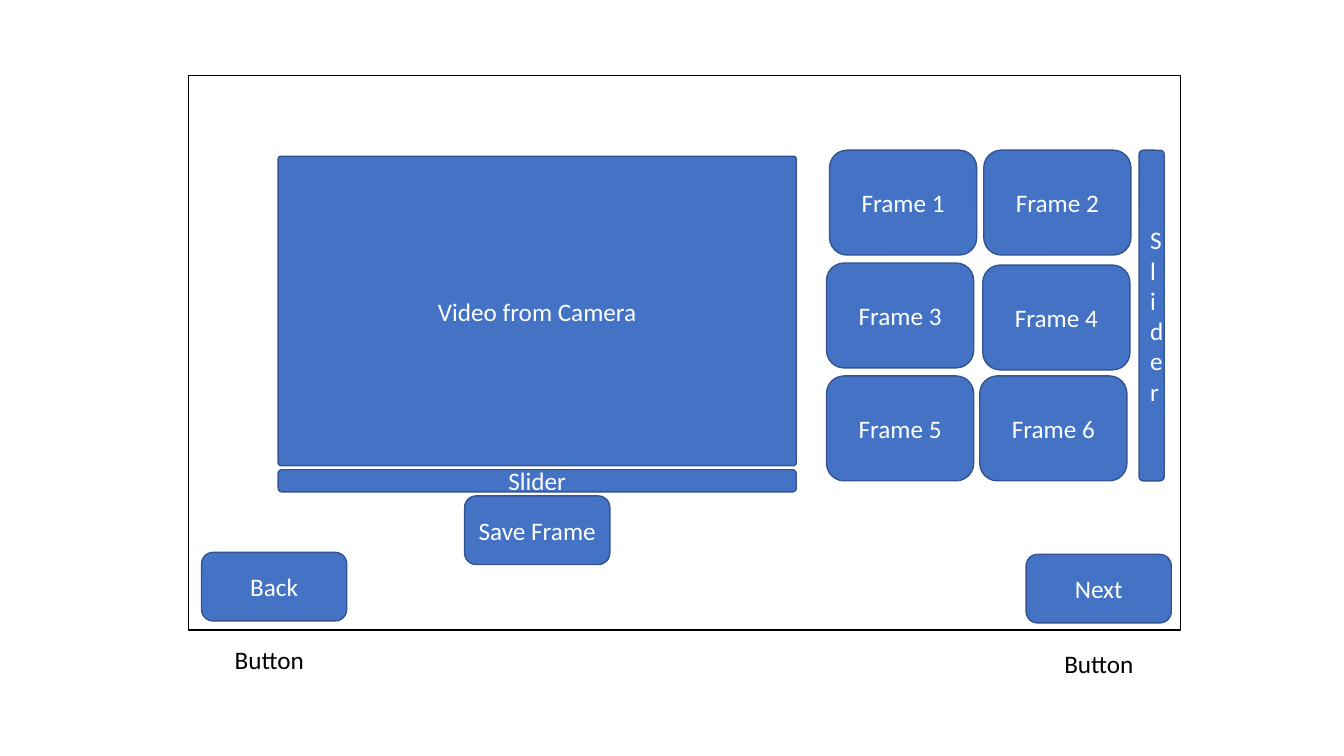
from dataclasses import dataclass

from pptx import Presentation
from pptx.dml.color import RGBColor
from pptx.enum.shapes import MSO_SHAPE
from pptx.enum.text import MSO_ANCHOR, MSO_AUTO_SIZE, PP_ALIGN
from pptx.shapes.autoshape import Shape
from pptx.slide import Slide
from pptx.text.text import TextFrame
from pptx.util import Inches, Pt

WHITE = RGBColor(0xFF, 0xFF, 0xFF)
BLACK = RGBColor(0x00, 0x00, 0x00)
BLUE = RGBColor(0x44, 0x72, 0xC4)
DARK_BLUE = RGBColor(0x32, 0x54, 0x91)

# The layout grid: square cells, a tenth of an inch a side
CELL = Inches(0.1)
GRID_COLUMNS, GRID_ROWS = 133.33, 75

LABEL_FONT = {"name": "Calibri", "size": Pt(18)}

BUTTON_WIDTH, BUTTON_HEIGHT = 14.4, 6.8
FRAME_WIDTH, FRAME_HEIGHT = 14.6, 10.4
FRAME_LEFT, FRAME_TOP = 8.2 * 10, 14.9
FRAME_COLUMN_STEP, FRAME_ROW_STEP = 15.2, 11.2
# Column and row offset of each frame from its regular place
FRAME_NUDGES = [(0.3, 0), (0.4, 0), (0, 0), (0.3, 0.2), (0, 0), (0, 0)]


@dataclass(frozen=True)
class Area:
    """A rectangle in grid columns and rows."""
    column: float
    row: float
    columns: float
    rows: float

    def lengths(self) -> list[int]:
        return [round(cells * CELL)
                for cells in (self.column, self.row, self.columns, self.rows)]


@dataclass(frozen=True)
class Control:
    text: str
    area: Area
    rounding: float = 0.16667


@dataclass(frozen=True)
class Caption:
    text: str
    area: Area


SCREEN = Area(18.7, 7.5, 98.4, 55)

CONTROLS = [
    Control("Video from Camera", Area(27.6, 15.5, 51.4, 30.7), 0.009),
    Control("Slider", Area(27.6, 46.6, 51.4, 2.2)),
    Control("Save Frame", Area(46.1, 49.2, BUTTON_WIDTH, BUTTON_HEIGHT)),
    Control("Next", Area(101.8, 55, BUTTON_WIDTH, BUTTON_HEIGHT)),
    Control("Slider", Area(113, FRAME_TOP, 2.5, 2 * FRAME_ROW_STEP + FRAME_HEIGHT)),
    Control("Back", Area(20, 54.8, BUTTON_WIDTH, BUTTON_HEIGHT)),
]

CAPTIONS = [
    Caption("Button", Area(22.3, 63.4, 9, 4)),
    Caption("Button", Area(104.6, 63.8, 9, 4)),
]


def frame_controls() -> list[Control]:
    frames = []
    for index, (column_nudge, row_nudge) in enumerate(FRAME_NUDGES):
        row, column = divmod(index, 2)
        area = Area(FRAME_LEFT + column * FRAME_COLUMN_STEP + column_nudge,
                    FRAME_TOP + row * FRAME_ROW_STEP + row_nudge,
                    FRAME_WIDTH, FRAME_HEIGHT)
        frames.append(Control(f"Frame {index + 1}", area))
    return frames


def add_block(page: Slide, kind: MSO_SHAPE, area: Area,
              fill: RGBColor, outline: RGBColor) -> Shape:
    block = page.shapes.add_shape(kind, *area.lengths())
    block.shadow.inherit = False
    block.fill.solid()
    block.fill.fore_color.rgb = fill
    block.line.color.rgb = outline
    block.line.width = Pt(1)
    return block


def write_label(frame: TextFrame, text: str, color: RGBColor,
                alignment: PP_ALIGN) -> None:
    para = frame.paragraphs[0]
    para.alignment = alignment
    span = para.add_run()
    span.text = text
    for attribute, value in LABEL_FONT.items():
        setattr(span.font, attribute, value)
    span.font.color.rgb = color


def add_control(page: Slide, control: Control) -> None:
    block = add_block(page, MSO_SHAPE.ROUNDED_RECTANGLE, control.area, BLUE, DARK_BLUE)
    block.adjustments[0] = control.rounding
    block.text_frame.word_wrap = True
    block.text_frame.vertical_anchor = MSO_ANCHOR.MIDDLE
    write_label(block.text_frame, control.text, WHITE, PP_ALIGN.CENTER)


def add_caption(page: Slide, caption: Caption) -> None:
    box = page.shapes.add_textbox(*caption.area.lengths())
    box.text_frame.word_wrap = False
    box.text_frame.auto_size = MSO_AUTO_SIZE.SHAPE_TO_FIT_TEXT
    write_label(box.text_frame, caption.text, BLACK, PP_ALIGN.LEFT)


def main() -> None:
    deck = Presentation()
    deck.slide_width = round(GRID_COLUMNS * CELL)
    deck.slide_height = round(GRID_ROWS * CELL)
    page = deck.slides.add_slide(deck.slide_layouts[6])

    add_block(page, MSO_SHAPE.RECTANGLE, SCREEN, WHITE, BLACK)
    for control in CONTROLS + frame_controls():
        add_control(page, control)
    for caption in CAPTIONS:
        add_caption(page, caption)

    deck.save("out.pptx")


if __name__ == "__main__":
    main()
